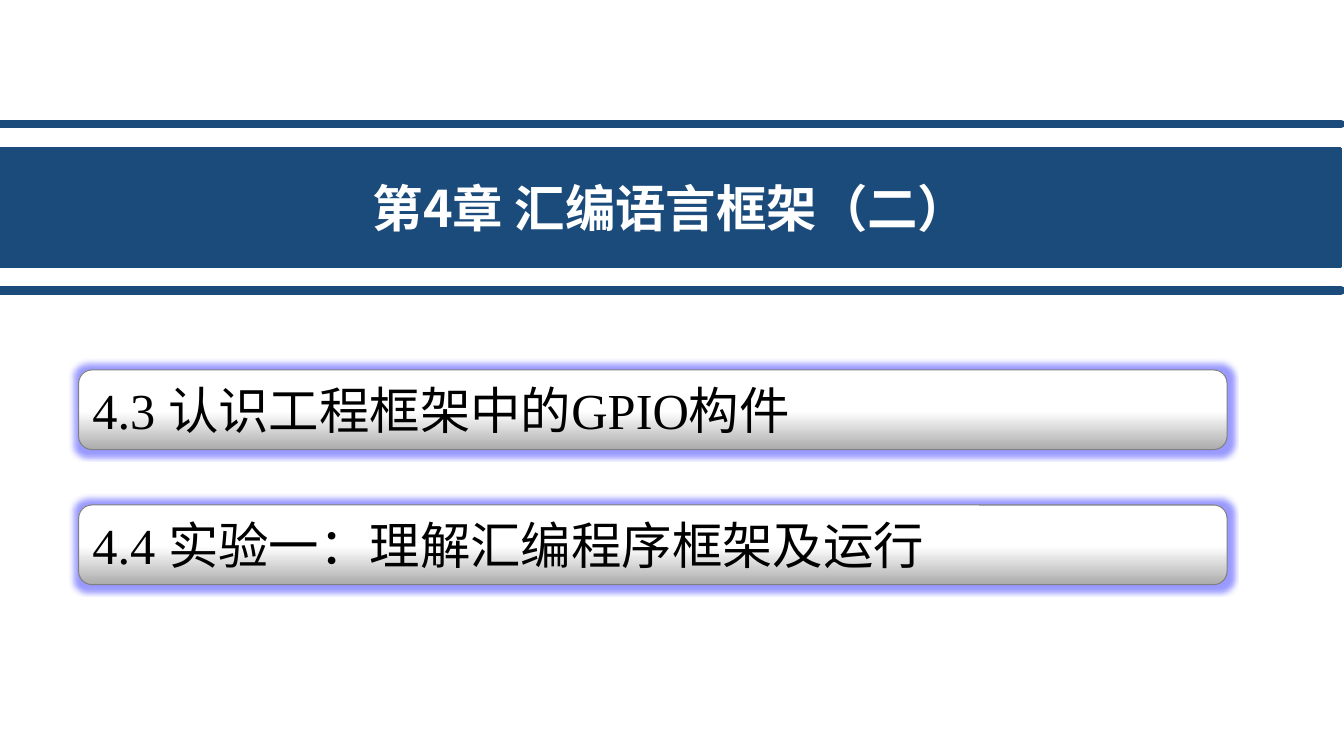
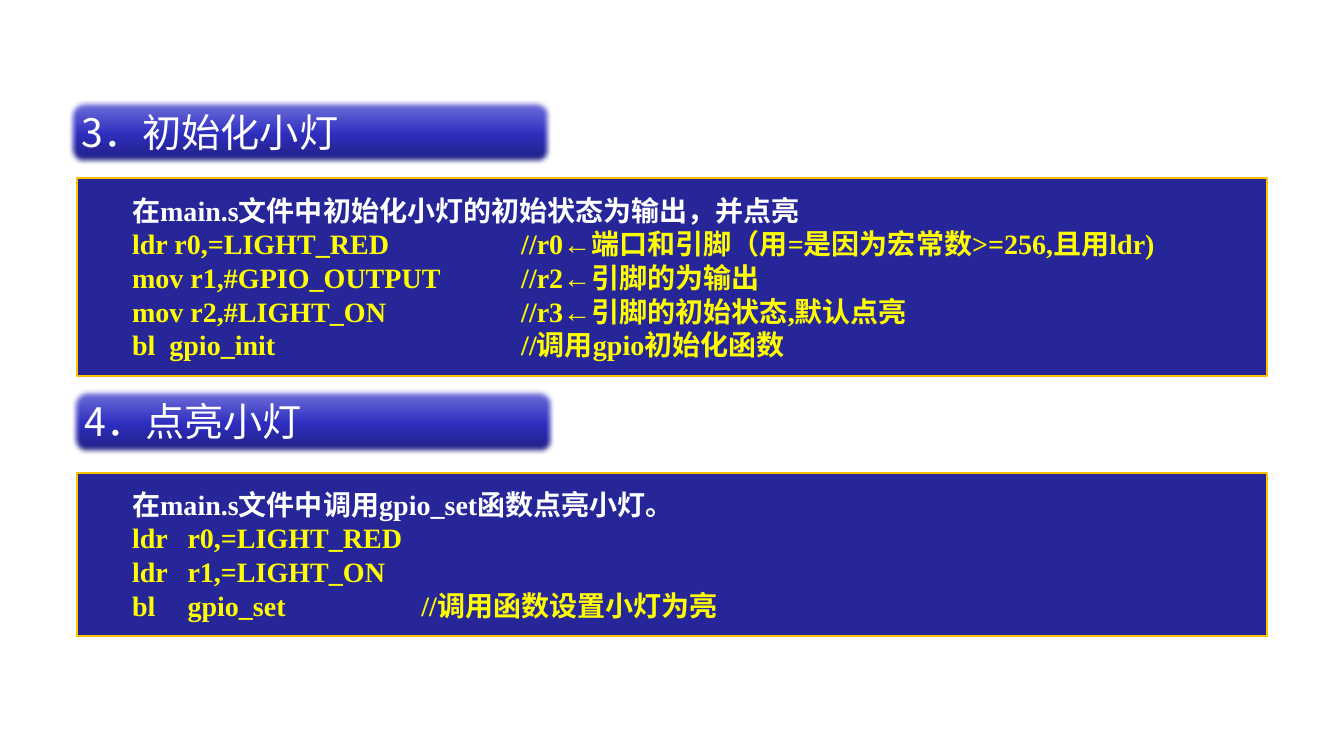
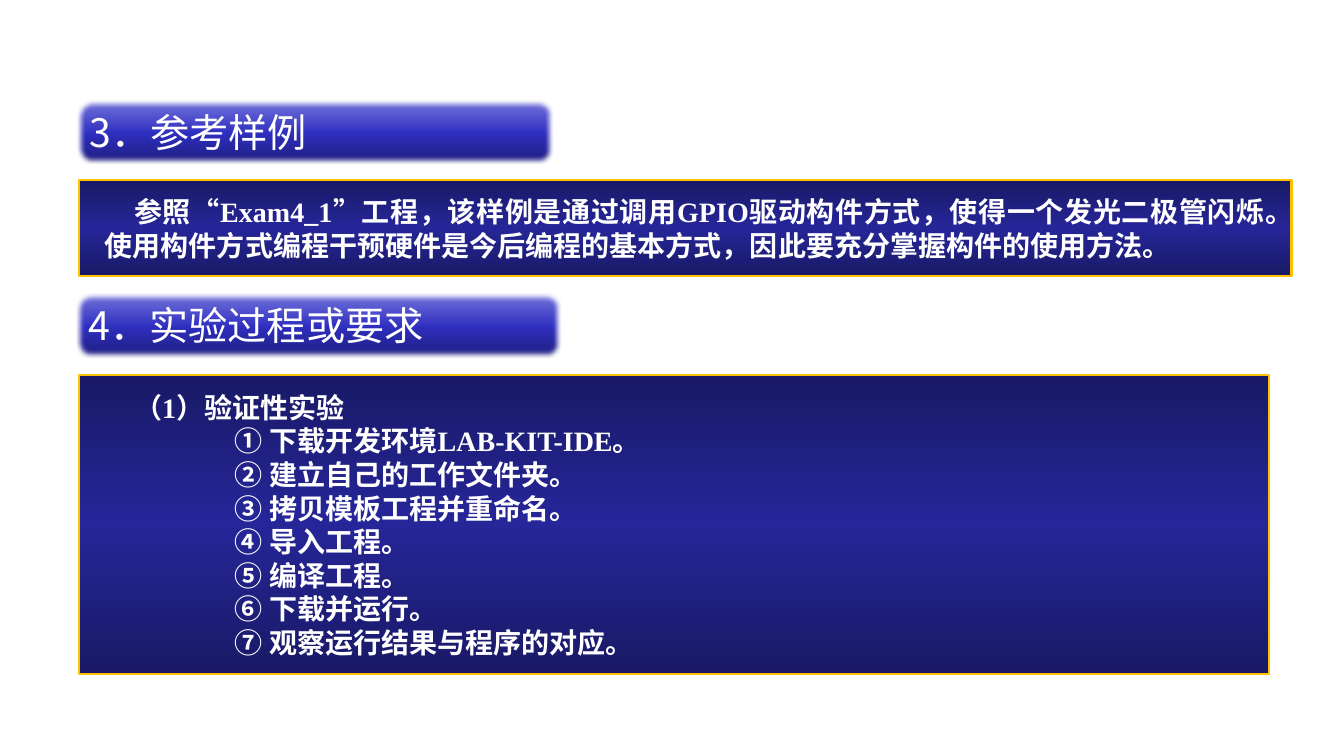
from dataclasses import dataclass

from lxml.etree import SubElement
from pptx import Presentation
from pptx.dml.color import RGBColor
from pptx.enum.shapes import MSO_CONNECTOR as Connector, MSO_SHAPE as Preset
from pptx.enum.text import MSO_ANCHOR as Anchor, MSO_AUTO_SIZE as AutoSize, PP_ALIGN as Align
from pptx.oxml.ns import qn
from pptx.util import Inches, Pt


@dataclass(frozen=True)
class Theme:
    """Colours, gradients, fonts and type sizes of the deck."""
    white: str = "FFFFFF"
    black: str = "000000"
    band: str = "1B4B7B"
    panel: str = "262699"
    gold: str = "FFC000"
    code: str = "FFFF00"
    outline: str = "808080"
    glow: str = "3333FF"
    silver: tuple = ((0, "ABABAB"), (48, "FFFFFF"), (100, "FFFFFF"))
    indigo: tuple = ((0, "1E1E7C"), (48, "2F2FC0"), (100, "7878DE"))
    night: tuple = ((0, "191966"), (51, "262699"), (100, "191966"))
    sans: str = "Noto Sans CJK SC"
    serif: str = "Times New Roman"
    title_size: int = 36
    heading_size: int = 28
    body_size: int = 20


THEME = Theme()
PANEL_INSET = 0.26
FIRST_LINE = 0.29


def paint(shape, fill, line, width):
    """Fill a shape with a colour or a vertical gradient and outline it."""
    shape.shadow.inherit = False
    if isinstance(fill, str):
        shape.fill.solid()
        shape.fill.fore_color.rgb = RGBColor.from_string(fill)
    else:
        shape.fill.gradient()
        shape.fill.gradient_angle = 90
        stops = shape._element.spPr.find(qn("a:gradFill")).find(qn("a:gsLst"))
        for stop in list(stops):
            stops.remove(stop)
        for position, colour in fill:
            stop = SubElement(stops, qn("a:gs"), pos=str(position * 1000))
            SubElement(stop, qn("a:srgbClr"), val=colour)
    shape.line.color.rgb = RGBColor.from_string(line)
    shape.line.width = Pt(width)


def add_box(slide, preset, box, fill, line, width):
    """Add a painted preset shape at left, top, width, height."""
    shape = slide.shapes.add_shape(preset, *map(Inches, box))
    paint(shape, fill, line, width)
    return shape


def add_effect(shape, name, radius):
    """Add a glow or soft edge to a shape and return its element."""
    effects = shape._element.spPr.find(qn("a:effectLst"))
    return SubElement(effects, qn(name), rad=str(Inches(radius)))


def style_paragraph(paragraph, font, size, colour, bold=False):
    """Set the Latin and East Asian font, size and colour of each run."""
    for run in paragraph.runs:
        run.font.name = font
        run.font.size = Pt(size)
        run.font.bold = bold
        run.font.color.rgb = RGBColor.from_string(colour)
        SubElement(run._r.get_or_add_rPr(), qn("a:ea"), typeface=THEME.sans)


def set_indent(paragraph, margin):
    """Set the left margin in inches and the usual first-line indent."""
    properties = paragraph._p.get_or_add_pPr()
    properties.set("marL", str(Inches(margin)))
    properties.set("indent", str(Inches(FIRST_LINE)))


def set_tabs(paragraph, tabs):
    """Set left tab stops in inches from the start of the text."""
    stops = SubElement(paragraph._p.get_or_add_pPr(), qn("a:tabLst"))
    for position in tabs:
        SubElement(stops, qn("a:tab"), pos=str(Inches(position)), algn="l")


def add_title_band(slide, text):
    """Add the chapter title on its band between two rules."""
    band = add_box(slide, Preset.RECTANGLE, (0, 1.47, 13.3, 1.18), THEME.band, THEME.band, 2)
    frame = band.text_frame
    frame.text = text
    frame.vertical_anchor = Anchor.MIDDLE
    frame.paragraphs[0].alignment = Align.CENTER
    style_paragraph(frame.paragraphs[0], THEME.sans, THEME.title_size, THEME.white, True)
    for top in (1.23, 2.88):
        rule = slide.shapes.add_connector(
            Connector.STRAIGHT, 0, Inches(top), Inches(13.3), Inches(top))
        rule.line.color.rgb = RGBColor.from_string(THEME.band)
        rule.line.width = Pt(6)
        rule.line._get_or_add_ln().set("cap", "rnd")
        SubElement(rule._element.spPr, qn("a:effectLst"))


def add_label(slide, box, text, fill, font, size, colour):
    """Add a rounded bar with one line of left-aligned text."""
    shape = add_box(slide, Preset.ROUNDED_RECTANGLE, box, fill, THEME.outline, 0.75)
    frame = shape.text_frame
    frame.text = text
    frame.word_wrap = False
    frame.vertical_anchor = Anchor.TOP
    frame.paragraphs[0].alignment = Align.LEFT
    style_paragraph(frame.paragraphs[0], font, size, colour)
    return shape


def add_section_item(slide, top, text):
    """Add a glowing silver bar that names a section."""
    shape = add_label(slide, (0.78, top, 11.39, 0.79), text, THEME.silver,
                      THEME.serif, THEME.title_size, THEME.black)
    colour = SubElement(add_effect(shape, "a:glow", 0.11), qn("a:srgbClr"), val=THEME.glow)
    SubElement(colour, qn("a:alpha"), val="50000")


def add_heading(slide, left, top, width, text):
    """Add a soft-edged indigo heading bar."""
    shape = add_label(slide, (left, top, width, 0.64), text, THEME.indigo,
                      THEME.sans, THEME.heading_size, THEME.white)
    add_effect(shape, "a:softEdge", 0.05)


def add_panel(slide, box, fill, lines, colour=THEME.white, margin=0, tabs=()):
    """Add a gold-edged panel whose lines after the first share a style."""
    shape = add_box(slide, Preset.RECTANGLE, box, fill, THEME.gold, 1.5)
    frame = shape.text_frame
    frame.text = "\n".join(lines)
    frame.word_wrap = True
    frame.auto_size = AutoSize.SHAPE_TO_FIT_TEXT
    frame.vertical_anchor = Anchor.MIDDLE
    frame.margin_left = Inches(PANEL_INSET + (FIRST_LINE if tabs else 0))
    frame.margin_right = Inches(PANEL_INSET)
    frame.margin_top = frame.margin_bottom = Inches(0.14)
    for index, paragraph in enumerate(frame.paragraphs):
        paragraph.alignment = Align.JUSTIFY
        paragraph.line_spacing = Pt(24)
        if tabs:
            set_tabs(paragraph, tabs)
        else:
            set_indent(paragraph, margin if index else 0)
        style_paragraph(paragraph, THEME.serif, THEME.body_size,
                        colour if index else THEME.white, True)


def build_chapter(slide):
    """Build the chapter opening."""
    add_title_band(slide, "第4章 汇编语言框架（二）")
    add_section_item(slide, 3.67, "4.3 认识工程框架中的GPIO构件")
    add_section_item(slide, 5.01, "4.4 实验一：理解汇编程序框架及运行")


def build_light_code(slide):
    """Build the slide with the code for the light."""
    add_heading(slide, 0.68, 0.99, 4.78, "3．初始化小灯")
    add_panel(slide, (0.76, 1.77, 11.81, 1.96), THEME.panel, (
        "在main.s文件中初始化小灯的初始状态为输出，并点亮",
        "ldr r0,=LIGHT_RED\t//r0←端口和引脚（用=是因为宏常数>=256,且用ldr)",
        "mov r1,#GPIO_OUTPUT\t//r2←引脚的为输出",
        "mov r2,#LIGHT_ON\t//r3←引脚的初始状态,默认点亮",
        "bl\tgpio_init\t//调用gpio初始化函数",
    ), THEME.code, tabs=(0.37, 3.86))
    add_heading(slide, 0.71, 3.86, 4.78, "4．点亮小灯")
    add_panel(slide, (0.76, 4.69, 11.81, 1.62), THEME.panel, (
        "在main.s文件中调用gpio_set函数点亮小灯。",
        "ldr\tr0,=LIGHT_RED",
        "ldr\tr1,=LIGHT_ON",
        "bl\tgpio_set\t//调用函数设置小灯为亮",
    ), THEME.code, tabs=(0.55, 2.87))


def build_experiment(slide):
    """Build the slide with the sample and the experiment steps."""
    add_heading(slide, 0.76, 0.99, 4.72, "3．参考样例")
    add_panel(slide, (0.78, 1.79, 12.03, 0.95), THEME.night, (
        "参照“Exam4_1”工程，该样例是通过调用GPIO驱动构件方式，使得一个发光二极管闪烁。"
        "使用构件方式编程干预硬件是今后编程的基本方式，因此要充分掌握构件的使用方法。",
    ))
    add_heading(slide, 0.75, 2.91, 4.81, "4．实验过程或要求")
    add_panel(slide, (0.78, 3.72, 11.81, 2.97), THEME.night, (
        "（1）验证性实验",
        "① 下载开发环境LAB-KIT-IDE。",
        "② 建立自己的工作文件夹。",
        "③ 拷贝模板工程并重命名。",
        "④ 导入工程。",
        "⑤ 编译工程。",
        "⑥ 下载并运行。",
        "⑦ 观察运行结果与程序的对应。",
    ), margin=1)


def main():
    """Build the deck and save it."""
    presentation = Presentation()
    presentation.slide_width = Inches(13.33)
    presentation.slide_height = Inches(7.5)
    for build in (build_chapter, build_light_code, build_experiment):
        build(presentation.slides.add_slide(presentation.slide_layouts[6]))
    presentation.save("out.pptx")


if __name__ == "__main__":
    main()
